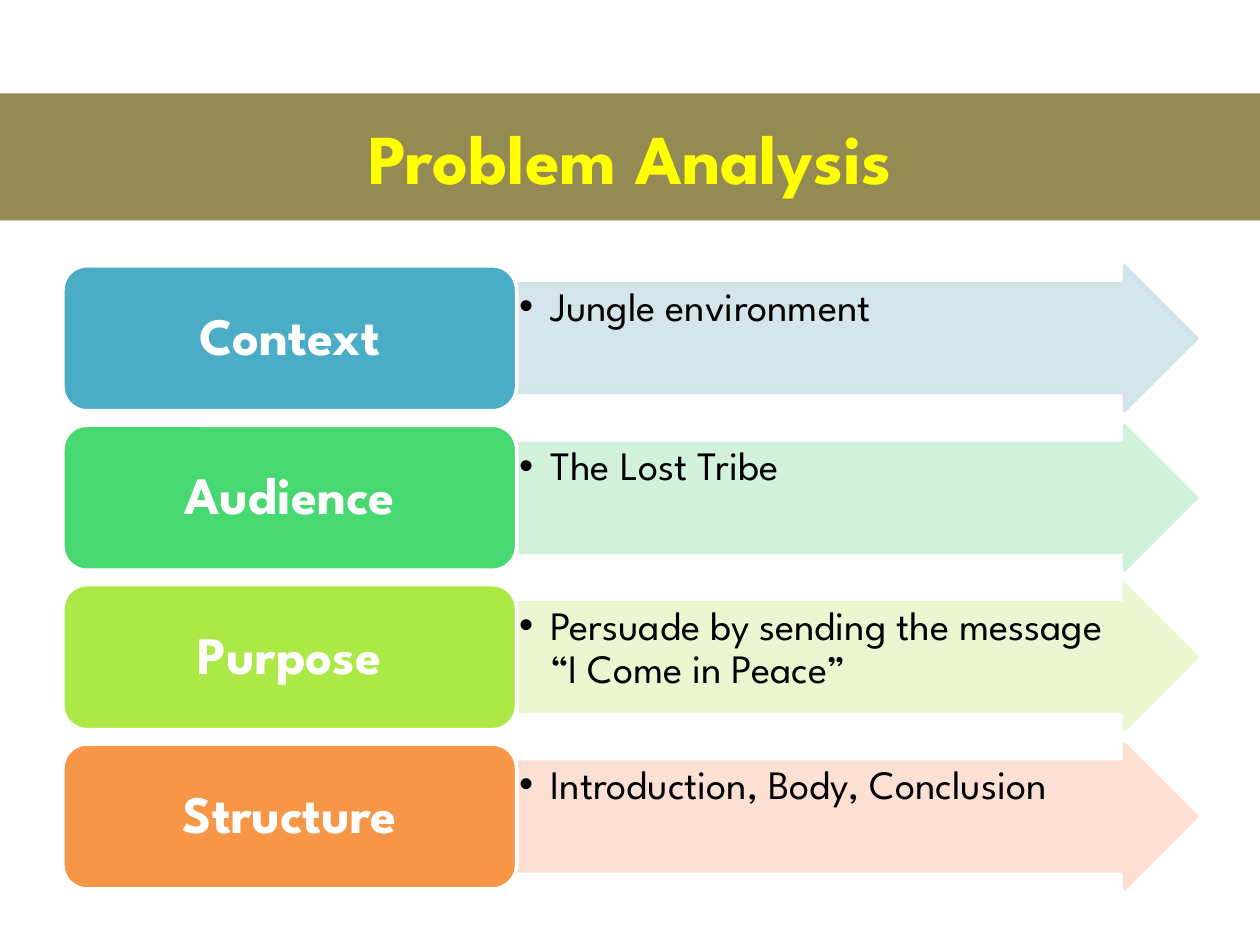
from lxml import etree
from pptx import Presentation
from pptx.dml.color import RGBColor
from pptx.enum import shapes, text
from pptx.oxml import ns
from pptx.util import Inches, Pt

FONT = "League Spartan"
WHITE = RGBColor(0xFF, 0xFF, 0xFF)
BLACK = RGBColor(0, 0, 0)
YELLOW = RGBColor(0xFF, 0xFF, 0)
OLIVE = RGBColor(0x94, 0x8A, 0x54)

TITLE = "Problem Analysis"
# label, detail, label colour, arrow colour
TOPICS = [
    ("Context", "Jungle environment",
     RGBColor(0x4B, 0xAC, 0xC6), RGBColor(0xD0, 0xE3, 0xEA)),
    ("Audience", "The Lost Tribe",
     RGBColor(0x47, 0xD8, 0x72), RGBColor(0xCF, 0xF1, 0xD9)),
    ("Purpose", "Persuade by sending the message “I Come in Peace”",
     RGBColor(0xAC, 0xE9, 0x46), RGBColor(0xEB, 0xF7, 0xCE)),
    ("Structure", "Introduction, Body, Conclusion",
     RGBColor(0xF7, 0x96, 0x46), RGBColor(0xFC, 0xDD, 0xCF)),
]

LEFT, TOP = 0.5, 2.11
LABEL_W, ARROW_W = 3.6, 5.4
ROW_H = 1.15
ROW_PITCH = 1.1 * ROW_H


def sub(parent, tag, **attributes):
    return etree.SubElement(parent, ns.qn(tag), attributes)


def style_text(paragraph, size, color, bold=False):
    font = paragraph.font
    font.name, font.size, font.bold = FONT, Pt(size), bold
    font.color.rgb = color


def add_block(slide, kind, left, top, width, fill, line):
    block = slide.shapes.add_shape(
        kind, Inches(left), Inches(top), Inches(width), Inches(ROW_H))
    block.shadow.inherit = False
    block.fill.solid()
    block.fill.fore_color.rgb = fill
    block.line.color.rgb = line
    block.line.width = Pt(2)
    return block


def write(block, words, inset_x, inset_y, anchor, align):
    frame = block.text_frame
    frame.word_wrap = True
    frame.margin_left = frame.margin_right = Inches(inset_x)
    frame.margin_top = frame.margin_bottom = Inches(inset_y)
    frame.vertical_anchor = anchor
    frame.text = words
    paragraph = frame.paragraphs[0]
    paragraph.alignment = align
    paragraph.line_spacing = 0.9
    return paragraph


def add_detail(slide, top, detail, color):
    arrow = add_block(slide, shapes.MSO_SHAPE.RIGHT_ARROW,
                      LEFT + LABEL_W, top, ARROW_W, color, color)
    arrow.adjustments[0] = 0.75
    arrow.adjustments[1] = 0.5
    for rgb in arrow._element.spPr.iter(ns.qn("a:srgbClr")):
        sub(rgb, "a:alpha", val="90000")
    paragraph = write(arrow, detail, 0.02, 0.02,
                      text.MSO_ANCHOR.TOP, text.PP_ALIGN.LEFT)
    properties = paragraph._p.get_or_add_pPr()
    properties.set("marL", str(Inches(0.25)))
    properties.set("indent", str(-Inches(0.25)))
    sub(properties, "a:buFont", typeface="Arial")
    sub(properties, "a:buChar", char="•")
    style_text(paragraph, 23, BLACK)


def add_label(slide, top, label, color):
    box = add_block(slide, shapes.MSO_SHAPE.ROUNDED_RECTANGLE,
                    LEFT, top, LABEL_W, color, WHITE)
    paragraph = write(box, label, 0.12, 0.06,
                      text.MSO_ANCHOR.MIDDLE, text.PP_ALIGN.CENTER)
    style_text(paragraph, 30, WHITE, bold=True)


def add_title(slide):
    title = slide.shapes.title
    title.left, title.top = Inches(0), Inches(0.74)
    title.width, title.height = Inches(10), Inches(1.01)
    title.fill.solid()
    title.fill.fore_color.rgb = OLIVE
    frame = title.text_frame
    frame.text = TITLE
    frame.vertical_anchor = text.MSO_ANCHOR.MIDDLE
    frame.paragraphs[0].alignment = text.PP_ALIGN.CENTER
    style_text(frame.paragraphs[0], 40, YELLOW, bold=True)


def main():
    deck = Presentation()
    deck.slide_width, deck.slide_height = Inches(10), Inches(7.5)
    slide = deck.slides.add_slide(deck.slide_layouts[5])
    add_title(slide)
    for row, (label, detail, label_color, arrow_color) in enumerate(TOPICS):
        top = TOP + row * ROW_PITCH
        add_detail(slide, top, detail, arrow_color)
        add_label(slide, top, label, label_color)
    deck.save("out.pptx")


if __name__ == "__main__":
    main()
